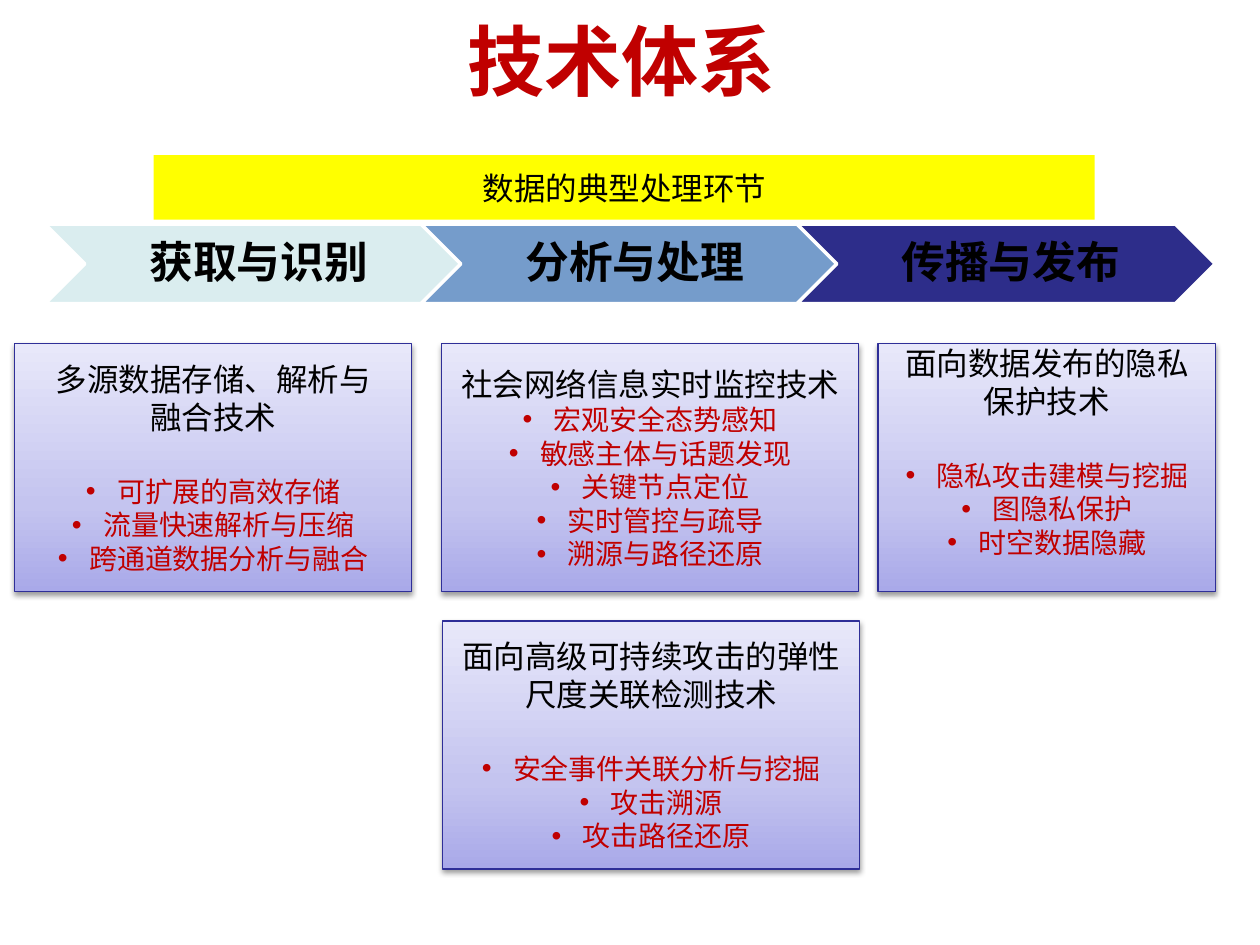
from dataclasses import dataclass

from lxml.etree import SubElement
from pptx import Presentation
from pptx.dml.color import RGBColor
from pptx.enum.shapes import MSO_SHAPE as Kind
from pptx.enum.text import MSO_ANCHOR as Anchor, MSO_AUTO_SIZE as Fit, PP_ALIGN as Align
from pptx.oxml import parse_xml
from pptx.oxml.ns import nsdecls, qn
from pptx.util import Cm, Pt

HUES = {
    "red": "C00000", "black": "000000", "white": "FFFFFF", "yellow": "FFFF00",
    "mint": "DAEDEF", "blue": "759CCB", "navy": "2D2D8A", "edge": "2F2F98",
    "deep": "A9A9E9", "mid": "C4C4EF", "pale": "E8E8FA",
}
SANS = "Noto Sans CJK SC"


@dataclass
class Step:
    text: str
    hue: str


@dataclass
class Card:
    left: float
    top: float
    width: float
    heads: tuple[str, ...]
    items: tuple[str, ...]
    gap: float = 22  # points between heading and list
    foot: float = 0.13  # bottom inset in cm


STEPS = [
    Step("获取与识别", "mint"),
    Step("分析与处理", "blue"),
    Step("传播与发布", "navy"),
]
TOP, HIGH = 6.93, 5.0
CARDS = [
    Card(8.92, 12.52, 8.41, ("面向高级可持续攻击的弹性尺度关联检测技术",),
         ("安全事件关联分析与挖掘", "攻击溯源", "攻击路径还原")),
    Card(0.3, TOP, 8.0, ("多源数据存储、解析与", "融合技术"),
         ("可扩展的高效存储", "流量快速解析与压缩", "跨通道数据分析与融合")),
    Card(8.9, TOP, 8.41, ("社会网络信息实时监控技术",),
         ("宏观安全态势感知", "敏感主体与话题发现", "关键节点定位",
          "实时管控与疏导", "溯源与路径还原"), gap=0),
    Card(17.7, TOP, 6.81, ("面向数据发布的隐私保护技术",),
         ("隐私攻击建模与挖掘", "图隐私保护", "时空数据隐藏"), foot=0.78),
]


def color(name: str) -> RGBColor:
    return RGBColor.from_string(HUES[name])


def write(frame, text: str, *, size: float, face: str = "Arial", hue: str = "black",
          bold: bool = False, bullet: bool = False, before: float = 0,
          lead: float | None = None) -> None:
    """Add one centred paragraph, using the first one while it is empty."""
    para = frame.paragraphs[0]
    if para.runs:
        para = frame.add_paragraph()
    para.alignment = Align.CENTER
    if before:
        para.space_before = Pt(before)
    if lead:
        para.line_spacing = lead
    if bullet:
        props = para._p.get_or_add_pPr()
        props.set("marL", str(Cm(0.63)))
        props.set("indent", str(-Cm(0.63)))
        SubElement(props, qn("a:buFont"), typeface="Arial")
        SubElement(props, qn("a:buChar"), char="•")
    run = para.add_run()
    run.text = text
    font = run.font
    font.size, font.name, font.bold = Pt(size), face, bold
    font.color.rgb = color(hue)
    latin = run._r.rPr.find(qn("a:latin"))
    latin.addnext(parse_xml(f'<a:ea {nsdecls("a")} typeface="{face}"/>'))


def block(slide, kind, left: float, top: float, width: float, height: float,
          fill: str | None = None, line: str | None = None, weight: float = 1):
    shape = slide.shapes.add_shape(kind, Cm(left), Cm(top), Cm(width), Cm(height))
    shape.shadow.inherit = False
    if fill:
        shape.fill.solid()
        shape.fill.fore_color.rgb = color(fill)
    if line:
        shape.line.color.rgb = color(line)
        shape.line.width = Pt(weight)
    else:
        shape.line.fill.background()
    frame = shape.text_frame
    frame.word_wrap = True
    frame.vertical_anchor = Anchor.MIDDLE
    return shape


def shade(shape) -> None:
    """Give a card its upward gradient and soft shadow."""
    props = shape._element.spPr
    stops = "".join(
        f'<a:gs pos="{spot * 1000}"><a:srgbClr val="{HUES[name]}"/></a:gs>'
        for spot, name in ((0, "deep"), (35, "mid"), (100, "pale")))
    props.find(qn("a:prstGeom")).addnext(parse_xml(
        f'<a:gradFill {nsdecls("a")} rotWithShape="1"><a:gsLst>{stops}</a:gsLst>'
        '<a:lin ang="16200000" scaled="0"/></a:gradFill>'))
    props.find(qn("a:effectLst")).append(parse_xml(
        f'<a:outerShdw {nsdecls("a")} blurRad="{Pt(3.1)}" dist="{Pt(1.6)}" '
        'dir="5400000" rotWithShape="0"><a:srgbClr val="000000">'
        '<a:alpha val="38000"/></a:srgbClr></a:outerShdw>'))


def draw_step(slide, step: Step, index: int) -> None:
    shape = block(slide, Kind.CHEVRON, 0.91 + 7.58 * index, 4.52, 8.43, 1.6,
                  step.hue, "white", 2)
    frame = shape.text_frame
    frame.margin_left = Cm(0.28)
    frame.margin_right = frame.margin_top = frame.margin_bottom = Cm(0.1)
    write(frame, step.text, size=25, face=SANS, bold=True, lead=0.9)


def draw_card(slide, card: Card) -> None:
    shape = block(slide, Kind.RECTANGLE, card.left, card.top, card.width, HIGH,
                  line="edge", weight=0.75)
    shade(shape)
    frame = shape.text_frame
    frame.margin_bottom = Cm(card.foot)
    for head in card.heads:
        write(frame, head, size=18)
    for index, item in enumerate(card.items):
        write(frame, item, size=16, hue="red", bullet=True,
              before=0 if index else card.gap)


def main() -> None:
    deck = Presentation()
    deck.slide_width, deck.slide_height = Cm(25.4), Cm(19.05)
    slide = deck.slides.add_slide(deck.slide_layouts[5])

    # Title
    title = slide.shapes.title
    title.left, title.top, title.width, title.height = Cm(1.1), Cm(0.13), Cm(22.86), Cm(2.16)
    title.text_frame.auto_size = Fit.NONE
    title.text_frame.vertical_anchor = Anchor.MIDDLE
    write(title.text_frame, "技术体系", size=44, face="Courier New", hue="red", bold=True)

    # Banner and process steps
    bar = block(slide, Kind.RECTANGLE, 3.1, 3.13, 18.97, 1.3, "yellow")
    write(bar.text_frame, "数据的典型处理环节", size=18, face=SANS)
    for index, step in enumerate(STEPS):
        draw_step(slide, step, index)

    # Technology cards
    for card in CARDS:
        draw_card(slide, card)

    deck.save("out.pptx")


if __name__ == "__main__":
    main()
